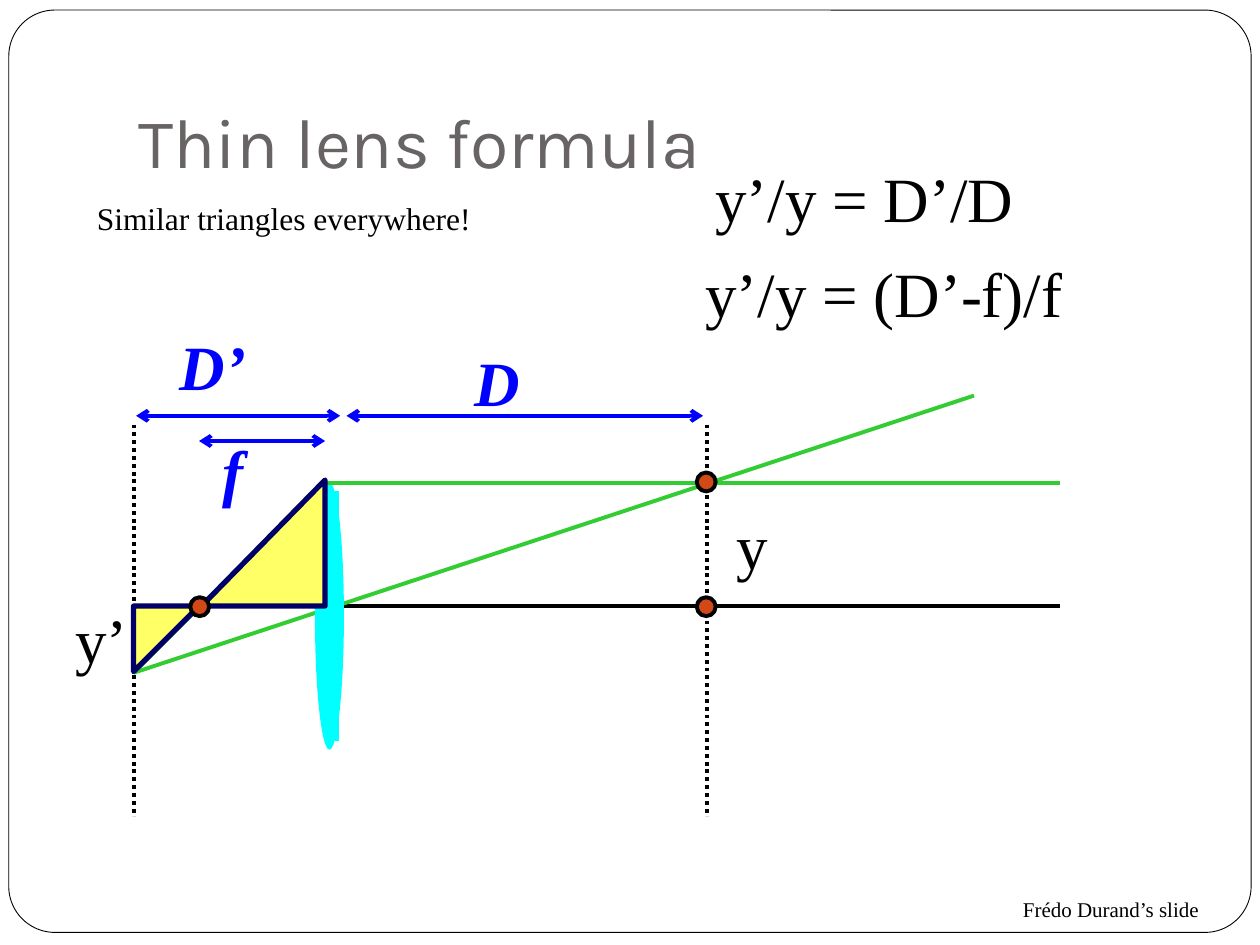
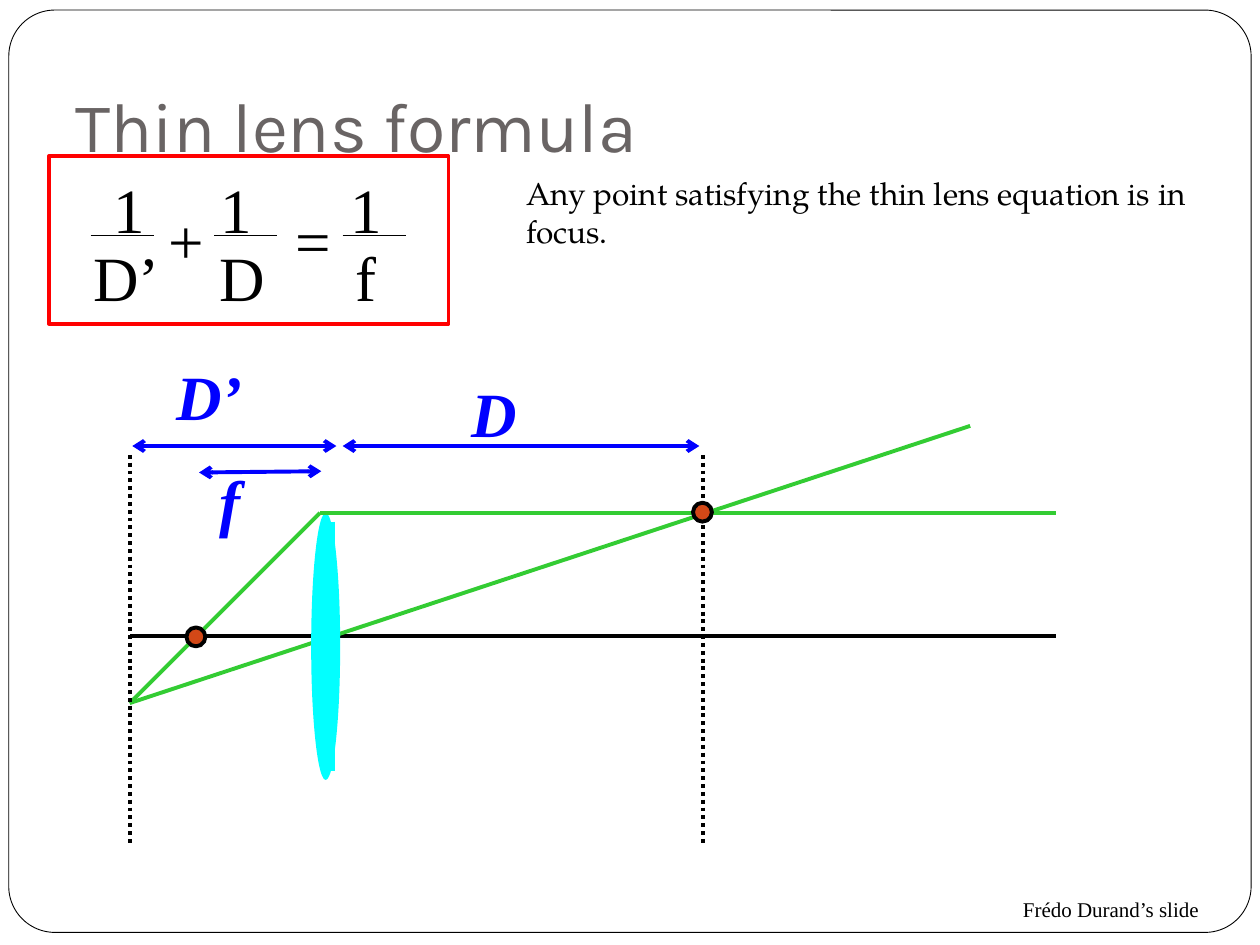
from lxml import etree
from pptx import Presentation
from pptx.dml.color import RGBColor
from pptx.enum.dml import MSO_LINE
from pptx.enum.shapes import MSO_CONNECTOR, MSO_SHAPE
from pptx.enum.text import MSO_ANCHOR, MSO_AUTO_SIZE, PP_ALIGN
from pptx.oxml.ns import qn
from pptx.util import Pt

PX = 9144  # one px is a hundredth of an inch
DOTS = MSO_LINE.ROUND_DOT
STRAIGHT = MSO_CONNECTOR.STRAIGHT
OVAL, RECT, ROUND = MSO_SHAPE.OVAL, MSO_SHAPE.RECTANGLE, MSO_SHAPE.ROUNDED_RECTANGLE
LEFT, BOTTOM = PP_ALIGN.LEFT, MSO_ANCHOR.BOTTOM
GROW, FIXED = MSO_AUTO_SIZE.SHAPE_TO_FIT_TEXT, MSO_AUTO_SIZE.NONE

BLACK = RGBColor(0, 0, 0)
WHITE = RGBColor(0xFF, 0xFF, 0xFF)
GRAY = RGBColor(0x69, 0x64, 0x64)
CYAN = RGBColor(0x02, 0xFF, 0xFF)
GREEN = RGBColor(0x33, 0xCC, 0x33)
BLUE = RGBColor(0, 0, 0xFF)
NAVY = RGBColor(0, 0, 0x66)
YELLOW = RGBColor(0xFF, 0xFF, 0x66)
RUST = RGBColor(0xD3, 0x48, 0x17)
RED = RGBColor(0xFF, 0, 0)

SERIF, BOOK, SANS = "Times New Roman", "TeX Gyre Pagella", "Karla"

# Shared content: text as (words, left, top, width, height)
TITLE = "Thin lens formula"
CREDIT = ("Frédo Durand’s slide", 802, 707, 173, 30)
FRAME = (7, 8, 986, 732)

# Lens diagram: lines as (x1, y1, x2, y2, colour)
CORE = (265, 390, 265, 588)
LENS = (250, 383, 23, 212)
AXIS = (841, 481, 106, 481, BLACK)
CHIEF = (773, 314, 106, 534, GREEN)
RAYS = [(257, 383, 106, 534, GREEN), (841, 383, 257, 383, GREEN)]
PLANES = [106, 561]
SPANS = [(558, 330, 275, 330), (270, 330, 108, 330)]
NAMES = [("f", 167, 333, 37, 70), ("D", 367, 263, 56, 70), ("D’", 133, 250, 73, 70)]
POINTS = [(553, 375), (151, 474)]

# First slide
HINT = ("Similar triangles everywhere!", 67, 150, 416, 50)
WEDGES = [
    [(160, 481), (258, 481), (258, 381)],
    [(158, 481), (106, 481), (106, 533)],
]
RATIOS = [
    ("y’", 50, 467, 62, 70),
    ("y", 575, 392, 45, 70),
    ("y’/y = D’/D", 558, 117, 257, 70),
    ("y’/y = (D’-f)/f", 550, 192, 307, 71),
]

# Second slide: fractions as (bar left, top left, bottom words, left, width)
PARTS = [(72, 80, "D’", 64, 73), (170, 165, "D", 164, 56), (272, 268, "f", 272, 37)]
SIGNS = [("+", 124), ("=", 225)]
BOX = (39, 124, 317, 133)
NOTE = ("Any point satisfying the thin lens equation is in focus.", 408, 133, 555, 90)


def px(*nums):
    return [n * PX for n in nums]


def write(para, words, size, font, color, bold=False):
    run = para.add_run()
    run.text = words
    run.font.size, run.font.name = Pt(size), font
    run.font.color.rgb = color
    run.font.bold = run.font.italic = bold


def label(slide, item, size=36, color=BLACK, font=SERIF, bold=False, top=10, wrap=False):
    words, *spot = item
    frame = slide.shapes.add_textbox(*px(*spot)).text_frame
    frame.word_wrap, frame.auto_size = wrap, GROW
    frame.margin_top = top * PX
    write(frame.paragraphs[0], words, size, font, color, bold)


def paint(shape, fill, color=None, width=0):
    shape.shadow.inherit = False
    if fill is None:
        shape.fill.background()
    else:
        shape.fill.solid()
        shape.fill.fore_color.rgb = fill
    if color is None:
        shape.line.fill.background()
    else:
        shape.line.color.rgb, shape.line.width = color, Pt(width)


def draw(slide, kind, spot, fill, color=None, width=0):
    shape = slide.shapes.add_shape(kind, *px(*spot))
    paint(shape, fill, color, width)
    return shape


def rule(slide, x1, y1, x2, y2, color, width=2.25, dash=None, heads=False):
    link = slide.shapes.add_connector(STRAIGHT, *px(x1, y1, x2, y2))
    link.line.color.rgb, link.line.width = color, Pt(width)
    if dash:
        link.line.dash_style = dash
    props = link.element.spPr
    if heads:
        for tag in ("a:headEnd", "a:tailEnd"):
            etree.SubElement(props.find(qn("a:ln")), qn(tag), type="arrow")
    etree.SubElement(props, qn("a:effectLst"))


def head(slide, spot):
    title = slide.shapes.title
    title.left, title.top, title.width, title.height = px(*spot)
    frame = title.text_frame
    frame.word_wrap, frame.auto_size = True, FIXED
    frame.vertical_anchor = BOTTOM
    frame.margin_left, frame.margin_top, frame.margin_right, frame.margin_bottom = px(10, 5, 10, 10)
    para = frame.paragraphs[0]
    para.alignment = LEFT
    write(para, TITLE, 40, SANS, GRAY)


def optics(slide, dx, dy, focal):
    """Lens, rays, planes and distances, moved by dx and dy."""
    def ray(x1, y1, x2, y2, color, *style, **more):
        rule(slide, x1 + dx, y1 + dy, x2 + dx, y2 + dy, color, *style, **more)

    ray(*CORE, CYAN, 6)
    ray(*AXIS)
    ray(*CHIEF)
    x, y, *size = LENS
    draw(slide, OVAL, (x + dx, y + dy, *size), CYAN)
    for line in RAYS:
        ray(*line)
    for x in PLANES:
        ray(x, 337, x, 648, BLACK, dash=DOTS)
    for span in SPANS:
        ray(*span, BLUE, heads=True)
    rule(slide, *focal, BLUE, heads=True)
    for words, x, y, *size in NAMES:
        label(slide, (words, x + dx, y + dy, *size), color=BLUE, bold=True)


def finish(slide, dots, dx=0, dy=0):
    for x, y in dots:
        draw(slide, OVAL, (x + dx, y + dy, 15, 15), RUST, BLACK, 2.25)
    label(slide, CREDIT, 12, top=5)


def ratios(slide):
    head(slide, (100, 30, 850, 125))
    optics(slide, 0, 0, (258, 350, 158, 350))
    label(slide, HINT, 18, top=8)
    for (x, y), *rest in WEDGES:
        pen = slide.shapes.build_freeform(x * PX, y * PX, scale=1.0)
        pen.add_line_segments([px(*spot) for spot in rest], close=True)
        paint(pen.convert_to_shape(), YELLOW, NAVY, 3)
    for item in RATIOS:
        label(slide, item)
    finish(slide, POINTS + [(553, 474)])


def formula(slide):
    dx, dy = -3, 24
    head(slide, (50, 17, 900, 125))
    optics(slide, dx, dy, (255, 374, 158, 375))
    for bar, one, below, left, wide in PARTS:
        label(slide, ("1", one, 125, 45, 70))
        label(slide, (below, left, 179, wide, 70))
        rule(slide, bar, 187, bar + 50, 187, BLACK, 1)
    for sign, x in SIGNS:
        label(slide, (sign, x, 150, 48, 70))
    draw(slide, RECT, BOX, None, RED, 2.25)
    label(slide, NOTE, 18, font=BOOK, top=5, wrap=True)
    finish(slide, POINTS, dx, dy)


def main():
    deck = Presentation()
    deck.slide_width, deck.slide_height = px(1000, 750)
    layout = deck.slide_layouts[5]
    first, second = (deck.slides.add_slide(layout) for _ in range(2))

    # Rounded frame, shared through the layout
    frame = draw(first, ROUND, FRAME, WHITE, BLACK, 0.5)
    frame.adjustments[0] = 0.05
    layout.shapes.element.insert(2, frame.element)

    ratios(first)
    formula(second)
    deck.save("out.pptx")


if __name__ == "__main__":
    main()
